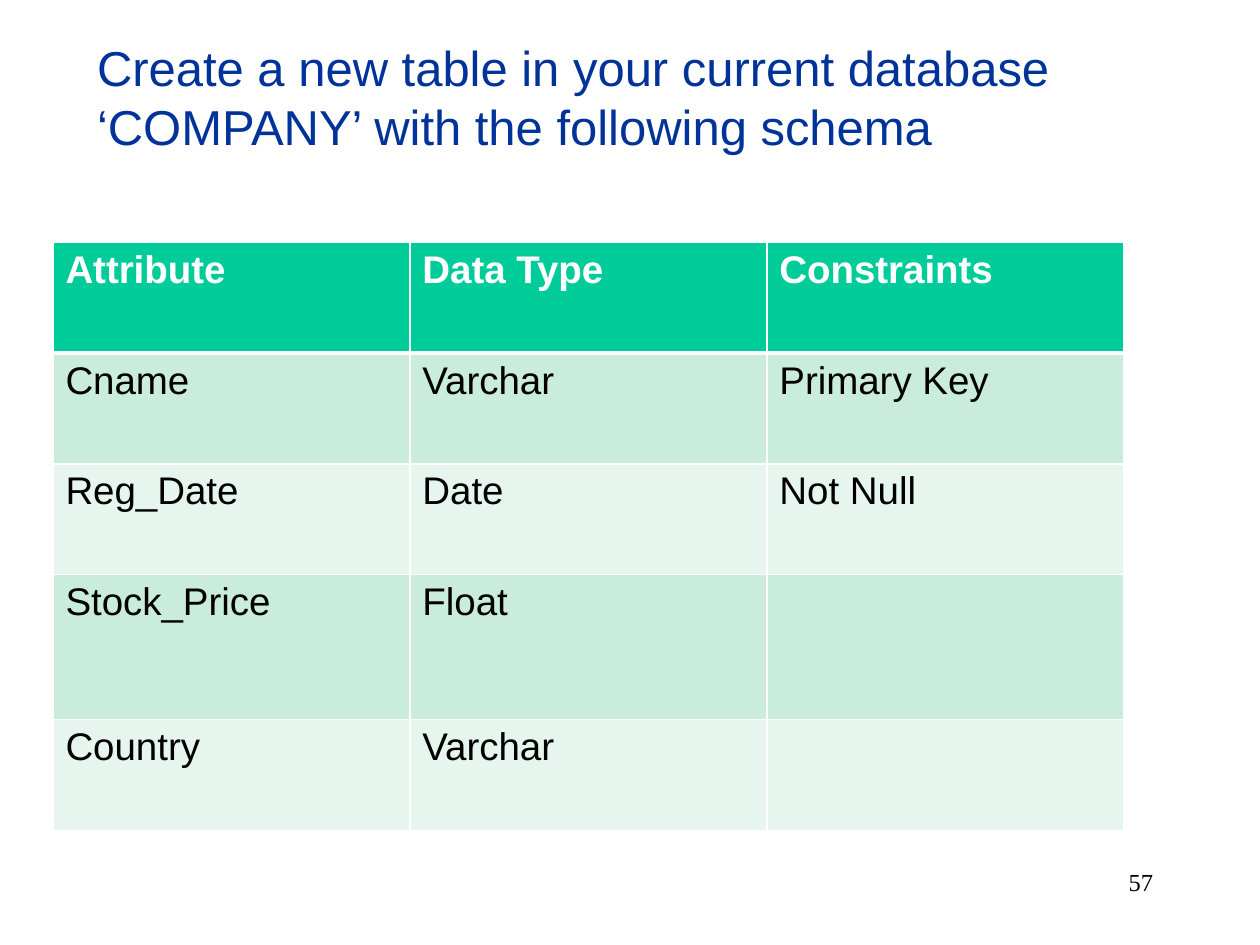
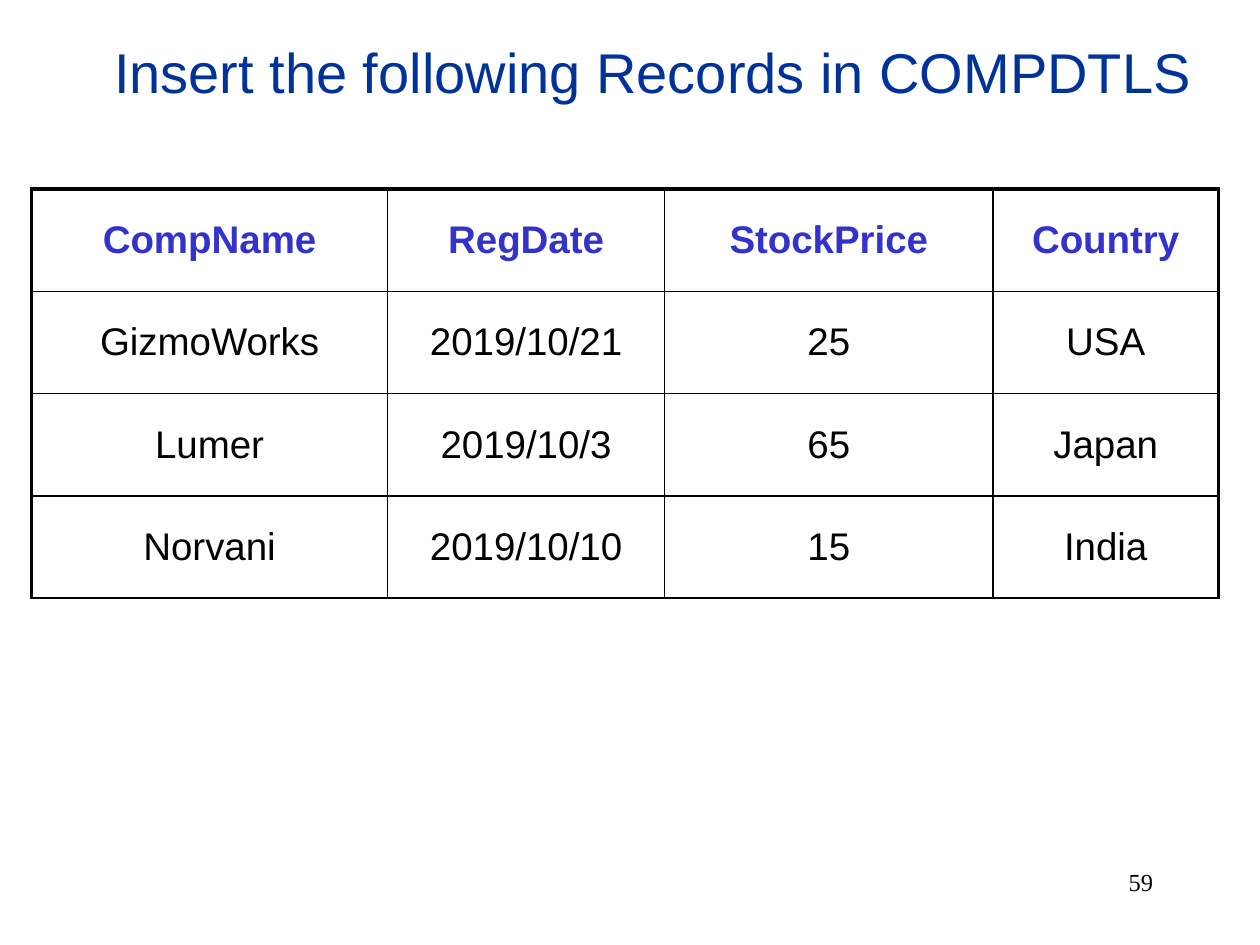
from dataclasses import dataclass

import pptx
import pptx.dml.color
import pptx.enum.text
import pptx.oxml
import pptx.oxml.ns
import pptx.util

WIDTH = pptx.util.Inches(10)
HEIGHT = pptx.util.Inches(7.5)
TITLE_ONLY = 5
SANS = "Arial"
SERIF = "Times New Roman"
BLACK = "000000"
WHITE = "FFFFFF"
NAVY = "003399"
ALIGN = pptx.enum.text.PP_ALIGN
ANCHOR = pptx.enum.text.MSO_ANCHOR


@dataclass(frozen=True)
class Area:
    left: float
    top: float
    width: float
    height: float

    def lengths(self) -> tuple[int, int, int, int]:
        return (int(self.left * WIDTH), int(self.top * HEIGHT),
                int(self.width * WIDTH), int(self.height * HEIGHT))


@dataclass(frozen=True)
class Title:
    text: str
    area: Area
    size: int
    align: ALIGN
    anchor: ANCHOR


@dataclass(frozen=True)
class TableStyle:
    header_color: str
    header_fill: str | None
    band_fills: tuple[str | None, ...]
    line_color: str
    outer_line: float
    header_line: float
    align: ALIGN
    anchor: ANCHOR
    inner_line: float = 1


@dataclass(frozen=True)
class Grid:
    area: Area
    column_shares: tuple[float, ...]
    row_shares: tuple[float, ...]
    records: tuple[tuple[str, ...], ...]
    style: TableStyle


@dataclass(frozen=True)
class Page:
    title: Title
    grid: Grid
    number: str


NUMBER_AREA = Area(0.717, 0.911, 0.208, 0.067)

SCHEMA_STYLE = TableStyle(WHITE, "00CC99", ("CAECDD", "E6F6EF"), WHITE,
                          1, 3, ALIGN.LEFT, ANCHOR.TOP)
RECORDS_STYLE = TableStyle("3333CC", None, (None,), BLACK,
                           2.25, 1, ALIGN.CENTER, ANCHOR.MIDDLE)

PAGES = (
    Page(
        Title("Create a new table in your current database "
              "‘COMPANY’ with the following schema",
              Area(0.067, 0.033, 0.908, 0.139), 28, ALIGN.LEFT, ANCHOR.TOP),
        Grid(
            Area(0.042, 0.256, 0.85, 0.623), (1, 1, 1),
            (0.88, 0.88, 0.88, 1.15, 0.88),
            (
                ("Attribute", "Data Type", "Constraints"),
                ("Cname", "Varchar", "Primary Key"),
                ("Reg_Date", "Date", "Not Null"),
                ("Stock_Price", "Float", ""),
                ("Country", "Varchar", ""),
            ),
            SCHEMA_STYLE),
        "57"),
    Page(
        Title("Insert the following Records in COMPDTLS",
              Area(0.067, 0.033, 0.903, 0.085), 32, ALIGN.CENTER, ANCHOR.MIDDLE),
        Grid(
            Area(0.025, 0.2, 0.942, 0.433), (2.83, 2.2, 2.61, 1.79),
            (1, 1, 1, 1),
            (
                ("CompName", "RegDate", "StockPrice", "Country"),
                ("GizmoWorks", "2019/10/21", "25", "USA"),
                ("Lumer", "2019/10/3", "65", "Japan"),
                ("Norvani", "2019/10/10", "15", "India"),
            ),
            RECORDS_STYLE),
        "59"),
)


def color(value: str) -> pptx.dml.color.RGBColor:
    return pptx.dml.color.RGBColor.from_string(value)


def write(frame, text: str, size: int, ink: str, align: ALIGN,
          name: str = SANS, bold: bool = False) -> None:
    frame.word_wrap = True
    para = frame.paragraphs[0]
    para.text = text
    para.alignment = align
    font = para.font
    font.name, font.size, font.bold = name, pptx.util.Pt(size), bold
    font.color.rgb = color(ink)


def paint_cell(cell, fill: str | None) -> None:
    if fill is None:
        cell.fill.background()
    else:
        cell.fill.solid()
        cell.fill.fore_color.rgb = color(fill)


def border_cell(cell, widths: dict[str, float], ink: str) -> None:
    properties = cell._tc.get_or_add_tcPr()
    for position, side in enumerate("LRTB"):
        line = pptx.oxml.parse_xml(
            f'<a:ln{side} {pptx.oxml.ns.nsdecls("a")} '
            f'w="{pptx.util.Pt(widths[side])}">'
            f'<a:solidFill><a:srgbClr val="{ink}"/></a:solidFill></a:ln{side}>')
        properties.insert(position, line)


def border_widths(grid: Grid, row: int, column: int) -> dict[str, float]:
    style = grid.style
    last_column = len(grid.column_shares) - 1
    return {
        "L": style.outer_line if column == 0 else style.inner_line,
        "R": style.outer_line if column == last_column else style.inner_line,
        "T": {0: style.outer_line, 1: style.header_line}.get(row, style.inner_line),
        "B": style.header_line if row == 0 else style.inner_line,
    }


def add_grid(slide, grid: Grid) -> None:
    left, top, width, height = grid.area.lengths()
    style = grid.style
    table = slide.shapes.add_table(len(grid.row_shares), len(grid.column_shares),
                                   left, top, width, height).table
    table.first_row = table.horz_banding = False
    for column, share in zip(table.columns, grid.column_shares):
        column.width = int(width * share / sum(grid.column_shares))
    for row, share in zip(table.rows, grid.row_shares):
        row.height = int(height * share / sum(grid.row_shares))
    for row, record in enumerate(grid.records):
        header = row == 0
        band = style.band_fills[(row - 1) % len(style.band_fills)]
        for column, text in enumerate(record):
            cell = table.cell(row, column)
            cell.vertical_anchor = style.anchor
            write(cell.text_frame, text, 22,
                  style.header_color if header else BLACK, style.align, bold=header)
            paint_cell(cell, style.header_fill if header else band)
            border_cell(cell, border_widths(grid, row, column), style.line_color)


def add_title(slide, title: Title) -> None:
    box = slide.shapes.title
    box.left, box.top, box.width, box.height = title.area.lengths()
    box.text_frame.vertical_anchor = title.anchor
    box.text_frame.auto_size = pptx.enum.text.MSO_AUTO_SIZE.NONE
    write(box.text_frame, title.text, title.size, NAVY, title.align)


def add_number(slide, number: str) -> None:
    box = slide.shapes.add_textbox(*NUMBER_AREA.lengths())
    write(box.text_frame, number, 14, BLACK, ALIGN.RIGHT, SERIF)


def main() -> None:
    deck = pptx.Presentation()
    deck.slide_width, deck.slide_height = WIDTH, HEIGHT
    for page in PAGES:
        slide = deck.slides.add_slide(deck.slide_layouts[TITLE_ONLY])
        add_title(slide, page.title)
        add_grid(slide, page.grid)
        add_number(slide, page.number)
    deck.save("out.pptx")


if __name__ == "__main__":
    main()
